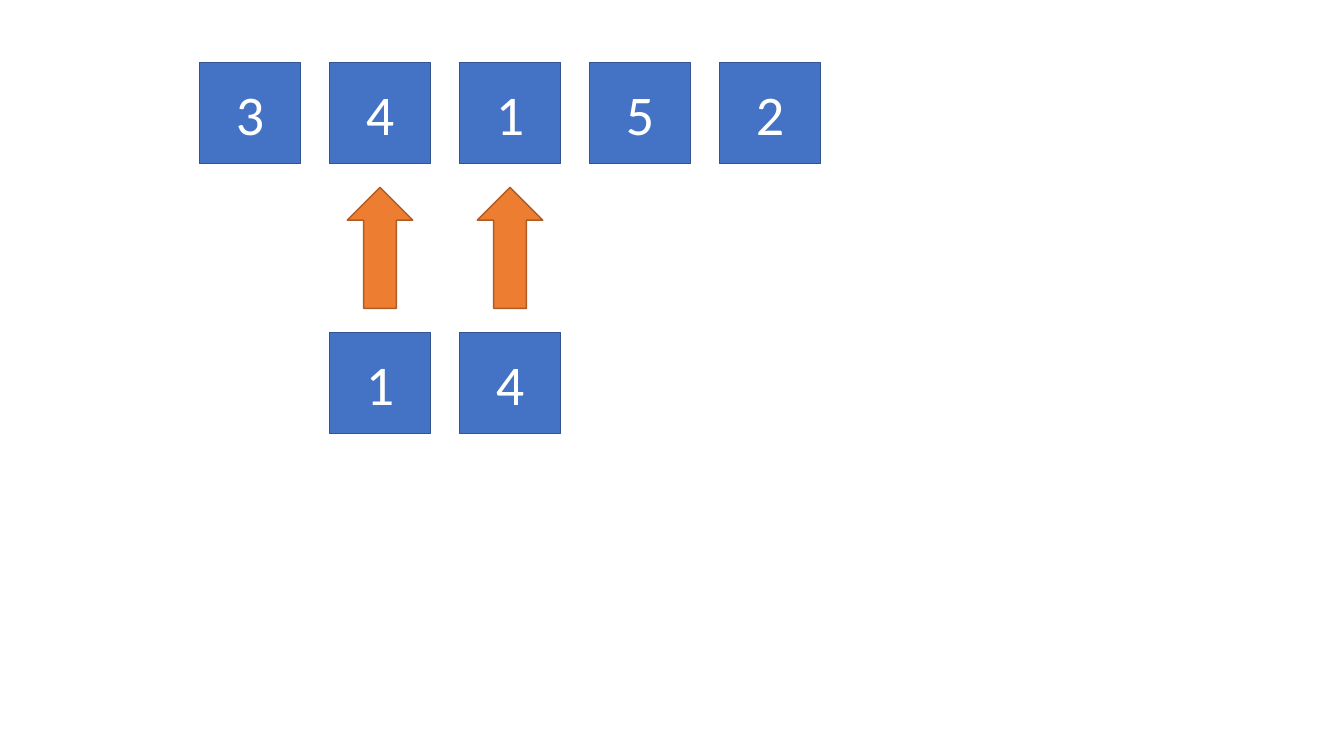
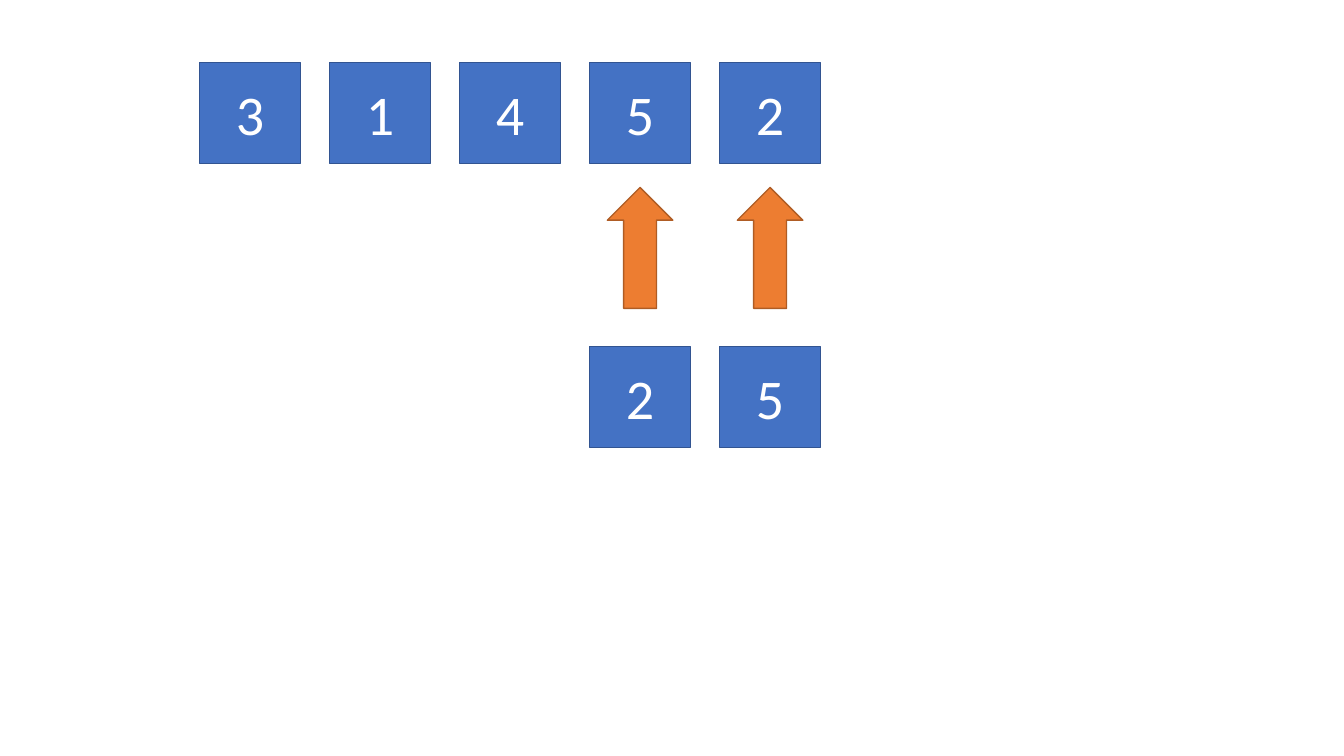
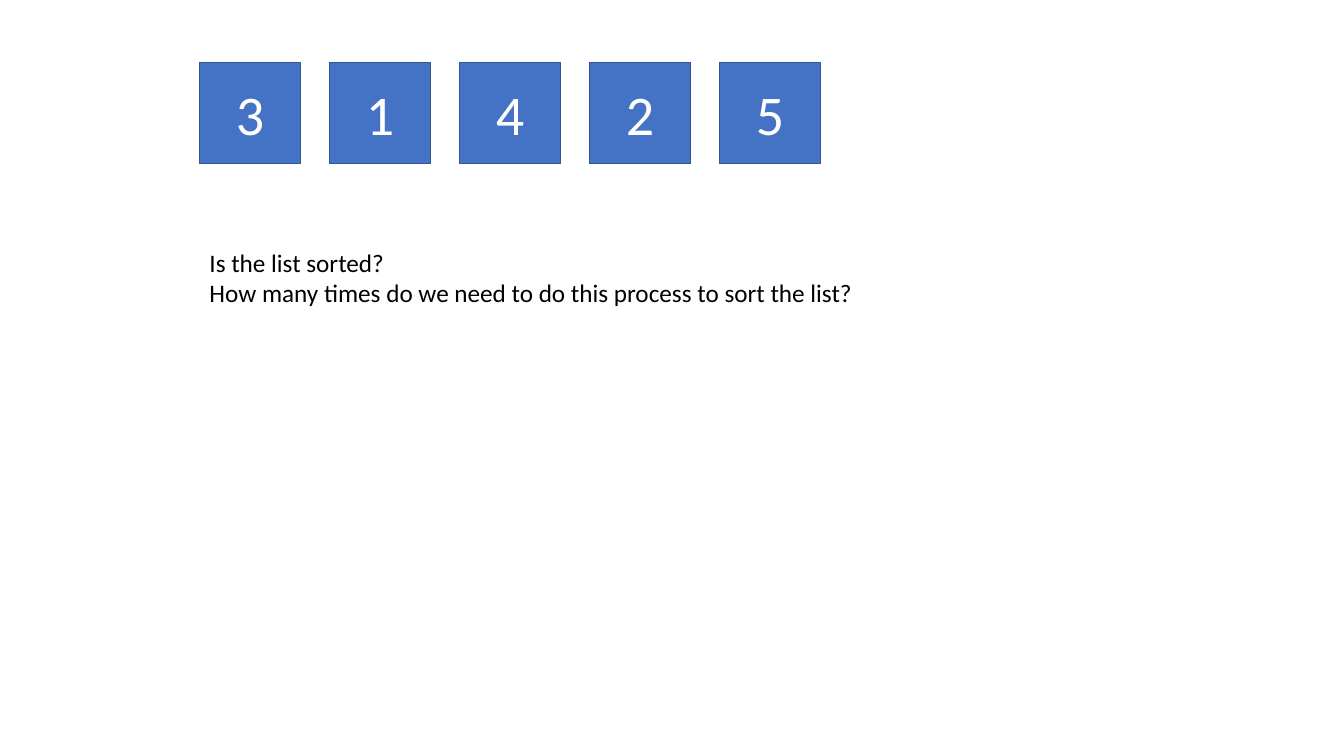
from pptx import Presentation
from pptx.dml.color import RGBColor
from pptx.enum.shapes import MSO_SHAPE
from pptx.enum.text import MSO_ANCHOR, MSO_AUTO_SIZE, PP_ALIGN
from pptx.util import Pt

RECTANGLE = MSO_SHAPE.RECTANGLE
UP_ARROW = MSO_SHAPE.UP_ARROW
MIDDLE = MSO_ANCHOR.MIDDLE
CENTER = PP_ALIGN.CENTER
FIT_SHAPE = MSO_AUTO_SIZE.SHAPE_TO_FIT_TEXT

BLUE = RGBColor(0x44, 0x72, 0xC4)
DARK_BLUE = RGBColor(0x32, 0x54, 0x91)
ORANGE = RGBColor(0xED, 0x7D, 0x31)
DARK_ORANGE = RGBColor(0xAF, 0x5C, 0x24)
WHITE = RGBColor(0xFF, 0xFF, 0xFF)
BLACK = RGBColor(0x00, 0x00, 0x00)

FONT = "Calibri"
BLANK_LAYOUT = 6

CELL = 72
STEP = 92.88
LIST_LEFT = 142.56
LIST_TOP = 44.64
ARROW_TOP = 133.92
ARROW_WIDTH = 46.8
ARROW_HEIGHT = 86.4


def cell_left(index):
    """Return the left edge of a list position."""
    return LIST_LEFT + index * STEP


def add_block(slide, kind, box, fill, outline):
    """Draw a filled, outlined shape in a (left, top, width, height) box."""
    shape = slide.shapes.add_shape(kind, *map(Pt, box))
    shape.shadow.inherit = False
    shape.fill.solid()
    shape.fill.fore_color.rgb = fill
    shape.line.color.rgb = outline
    shape.line.width = Pt(1)
    return shape


def format_paragraph(para, size, color):
    """Set the shared font with the given size and colour."""
    para.font.name = FONT
    para.font.size = Pt(size)
    para.font.color.rgb = color


def add_numbers(slide, numbers, top, first=0):
    """Draw a row of number cells from list position first."""
    for index, number in enumerate(numbers, first):
        box = (cell_left(index), top, CELL, CELL)
        cell = add_block(slide, RECTANGLE, box, BLUE, DARK_BLUE)
        frame = cell.text_frame
        frame.vertical_anchor = MIDDLE
        para = frame.paragraphs[0]
        para.text = str(number)
        para.alignment = CENTER
        format_paragraph(para, 40, WHITE)


def add_swap(slide, numbers, top, first):
    """Draw swapped numbers and the arrows to their list positions."""
    for index in range(first, first + len(numbers)):
        left = cell_left(index) + (CELL - ARROW_WIDTH) / 2
        box = (left, ARROW_TOP, ARROW_WIDTH, ARROW_HEIGHT)
        add_block(slide, UP_ARROW, box, ORANGE, DARK_ORANGE)
    add_numbers(slide, numbers, top, first)


def add_questions(slide, questions, box):
    """Write one question per paragraph in the given box."""
    frame = slide.shapes.add_textbox(*map(Pt, box)).text_frame
    frame.word_wrap = False
    frame.auto_size = FIT_SHAPE
    frame.text = "\n".join(questions)
    for para in frame.paragraphs:
        format_paragraph(para, 18, BLACK)


def add_list_slide(deck, numbers):
    """Add a slide with the list of numbers along the top."""
    slide = deck.slides.add_slide(deck.slide_layouts[BLANK_LAYOUT])
    add_numbers(slide, numbers, LIST_TOP)
    return slide


def main():
    """Build the three sorting steps and save the deck."""
    deck = Presentation()
    deck.slide_width, deck.slide_height = Pt(960), Pt(540)

    first_swap = add_list_slide(deck, [3, 4, 1, 5, 2])
    add_swap(first_swap, [1, 4], top=237.6, first=1)

    second_swap = add_list_slide(deck, [3, 1, 4, 5, 2])
    add_swap(second_swap, [2, 5], top=247.68, first=3)

    review = add_list_slide(deck, [3, 1, 4, 2, 5])
    questions = [
        "Is the list sorted?",
        "How many times do we need to do this process to sort the list?",
    ]
    add_questions(review, questions, (LIST_LEFT, 172.8, 488.88, 51.12))

    deck.save("out.pptx")


main()
